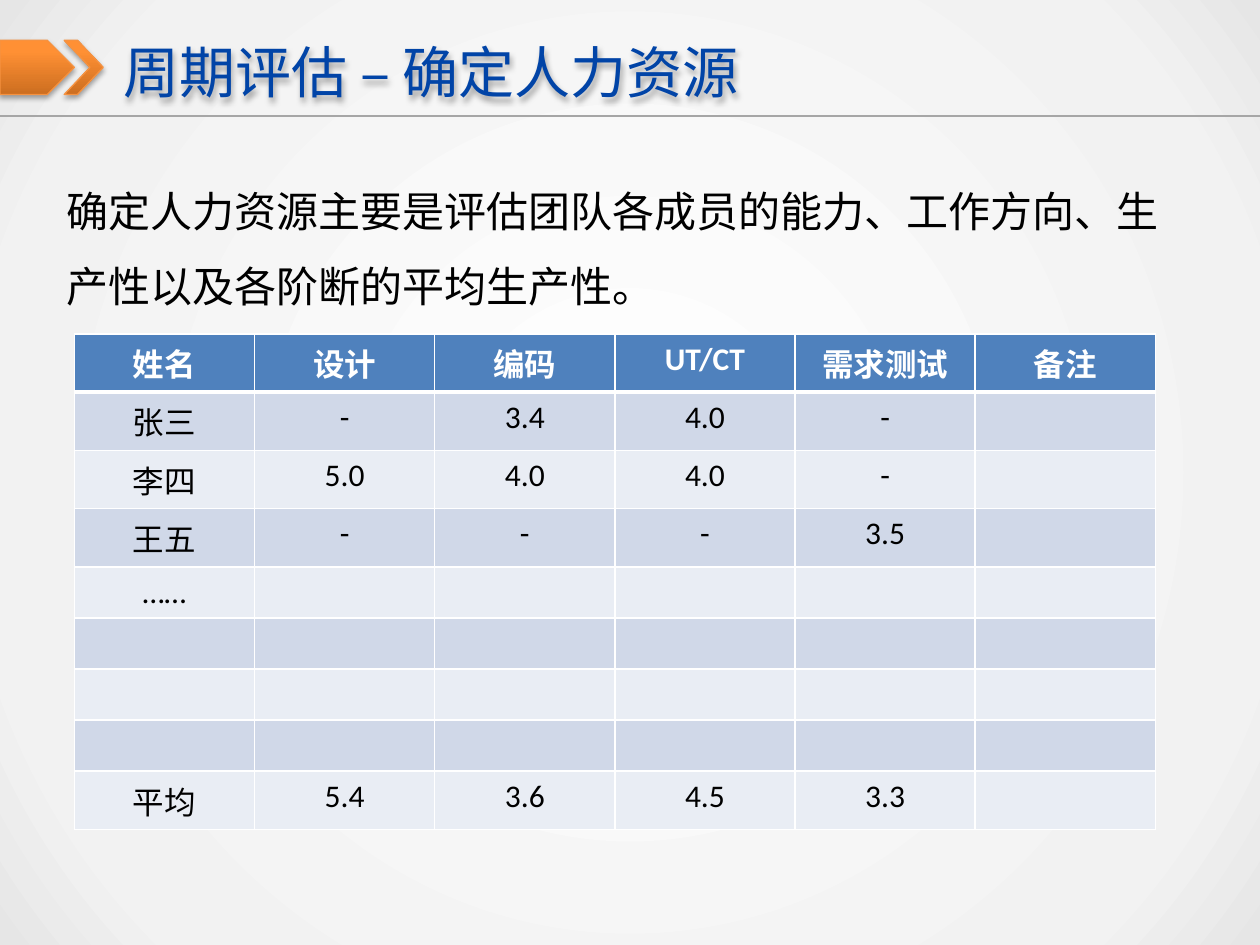
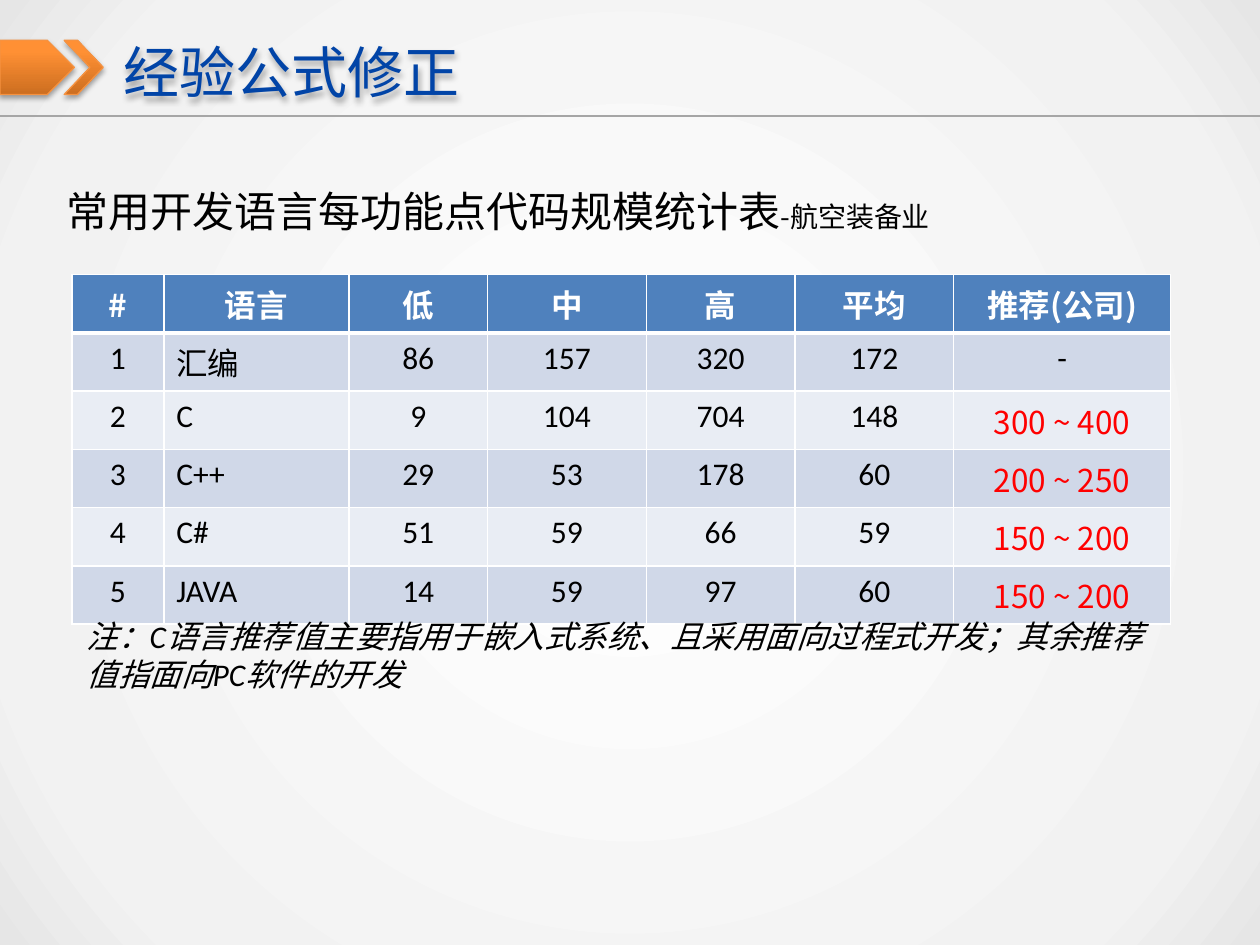
from dataclasses import dataclass

from lxml.etree import SubElement
from pptx import Presentation
from pptx.dml.color import RGBColor
from pptx.enum.shapes import MSO_CONNECTOR, MSO_SHAPE
from pptx.enum.text import MSO_ANCHOR, MSO_AUTO_SIZE, PP_ALIGN
from pptx.oxml import parse_xml
from pptx.oxml.ns import nsdecls, qn
from pptx.util import Inches, Pt

# Shared style
CJK, LATIN = "Noto Sans CJK SC", "Calibri"
BLUE, BLACK, WHITE, RED = "0144A7", "000000", "FFFFFF", "FF0000"
AMBER, GREY = "F69240", "A6A6A6"
HEAD, BANDS = "4F81BD", ("D0D8E8", "E9EDF4")
GLOW = ((0, WHITE), (82, "F2F2F2"), (100, "E6E6E6"))
FLAME = ((0, "CC6E20"), (80, "FF9034"), (100, "FF9136"))

# Grid: 100 columns by 75 rows on the slide
WIDE, HIGH = Inches(10), Inches(7.5)
COLS, ROWS = 100, 75


@dataclass(frozen=True)
class Box:
    col: float
    row: float
    cols: float
    rows: float

    def spot(self) -> tuple[int, int, int, int]:
        return across(self.col), down(self.row), across(self.cols), down(self.rows)


@dataclass(frozen=True)
class Badge:
    kind: MSO_SHAPE
    box: Box
    bend: float


@dataclass(frozen=True)
class Grid:
    box: Box
    cols: tuple[float, ...]
    rows: tuple[tuple[str, ...], ...]
    font: str  # font of the header row
    left: int = -1  # column set flush left
    hot: int = -1  # column with values in red


TITLE = Box(9.8, 2.1, 88.2, 7.1)
BADGES = (
    Badge(MSO_SHAPE.PENTAGON, Box(0, 3.2, 5.9, 4.3), 0.5),
    Badge(MSO_SHAPE.CHEVRON, Box(5.1, 3.2, 3.1, 4.3), 0.66),
)
RULE = 9.2

STAFF = Grid(
    Box(5.9, 26.5, 85.8, 36.5), (14.3,) * 6,
    (
        ("姓名", "设计", "编码", "UT/CT", "需求测试", "备注"),
        ("张三", "-", "3.4", "4.0", "-", ""),
        ("李四", "5.0", "4.0", "4.0", "-", ""),
        ("王五", "-", "-", "-", "3.5", ""),
        ("……",) + ("",) * 5,
        *(("",) * 6,) * 3,
        ("平均", "5.4", "3.6", "4.5", "3.3", ""),
    ),
    LATIN,
)
CODE = Grid(
    Box(5.7, 21.8, 87.3, 24.3), (7.3, 14.7, 11, 12.6, 11.8, 12.6, 17.2),
    (
        ("#", "语言", "低", "中", "高", "平均", "推荐(公司)"),
        ("1", "汇编", "86", "157", "320", "172", "-"),
        ("2", "C", "9", "104", "704", "148", "300 ~ 400"),
        ("3", "C++", "29", "53", "178", "60", "200 ~ 250"),
        ("4", "C#", "51", "59", "66", "59", "150 ~ 200"),
        ("5", "JAVA", "14", "59", "97", "60", "150 ~ 200"),
    ),
    CJK, left=1, hot=6,
)


# Helpers
def across(cols: float) -> int:
    return round(WIDE * cols / COLS)


def down(rows: float) -> int:
    return round(HIGH * rows / ROWS)


def tint(code: str) -> RGBColor:
    return RGBColor.from_string(code)


def fade(stops, way: str):
    marks = "".join(
        f'<a:gs pos="{pos * 1000}"><a:srgbClr val="{code}"/></a:gs>' for pos, code in stops
    )
    return parse_xml(
        f'<a:gradFill {nsdecls("a")} rotWithShape="1"><a:gsLst>{marks}</a:gsLst>{way}</a:gradFill>'
    )


def shade(shape) -> None:
    """Give a shape a soft shadow straight below it."""
    shape.shadow.inherit = False
    shape._element.spPr.find(qn("a:effectLst")).append(parse_xml(
        f'<a:outerShdw {nsdecls("a")} blurRad="{Pt(3.1)}" dist="{Pt(1.8)}" dir="5400000" '
        f'rotWithShape="0"><a:srgbClr val="{BLACK}"><a:alpha val="35000"/></a:srgbClr></a:outerShdw>'
    ))


def write(part, text: str, *, size: float = 18, font: str = LATIN, color: str = BLACK,
          bold: bool = False, slant: bool = False, align=PP_ALIGN.LEFT, lead: float = 1) -> None:
    """Add a run to the first paragraph and set its format."""
    para = part.paragraphs[0]
    para.alignment, para.line_spacing = align, lead
    para.space_before = Pt(0)
    run = para.add_run()
    run.text = text
    face = run.font
    face.size, face.name, face.bold, face.italic = Pt(size), font, bold, slant
    face.color.rgb = tint(color)
    face._element.find(qn("a:latin")).addnext(
        parse_xml(f'<a:ea {nsdecls("a")} typeface="{CJK}"/>')
    )


def place(shape, box: Box, anchor=MSO_ANCHOR.TOP):
    """Move a text shape to its box and return its text frame."""
    shape.left, shape.top, shape.width, shape.height = box.spot()
    frame = shape.text_frame
    frame.word_wrap, frame.auto_size = True, MSO_AUTO_SIZE.NONE
    frame.vertical_anchor = anchor
    return frame


# Slide frame: background, title, badges and rule
def start(deck, title: str):
    slide = deck.slides.add_slide(deck.slide_layouts[1])
    fill = slide.background.fill
    fill.gradient()
    old = slide._element.cSld.find(".//" + qn("a:gradFill"))
    old.getparent().replace(old, fade(
        GLOW, '<a:path path="circle"><a:fillToRect l="50000" t="50000" r="50000" b="50000"/></a:path>'
    ))

    head = slide.shapes.title
    frame = place(head, TITLE, MSO_ANCHOR.MIDDLE)
    frame.margin_left = frame.margin_right = 0
    write(frame, title, size=32, font=CJK, color=BLUE)
    shade(head)

    for badge in BADGES:
        shape = slide.shapes.add_shape(badge.kind, *badge.box.spot())
        shape.adjustments[0] = badge.bend
        shape.line.color.rgb, shape.line.width = tint(AMBER), Pt(0.75)
        shape._element.spPr.find(qn("a:prstGeom")).addnext(
            fade(FLAME, '<a:lin ang="16200000" scaled="0"/>')
        )
        shade(shape)

    rule = slide.shapes.add_connector(MSO_CONNECTOR.STRAIGHT, 0, down(RULE), WIDE, down(RULE))
    rule.line.color.rgb, rule.line.width = tint(GREY), Pt(0.75)
    SubElement(rule._element.spPr, qn("a:effectLst"))
    return slide


def lead_in(slide, rows: float, anchor=MSO_ANCHOR.TOP):
    """Set up the body placeholder as plain text without a bullet."""
    frame = place(slide.placeholders[1], Box(4.3, 12.2, 91.3, rows), anchor)
    props = frame.paragraphs[0]._p.get_or_add_pPr()
    props.set("marL", "0")
    props.set("indent", "0")
    SubElement(props, qn("a:buNone"))
    return frame


# Tables
def edge(cell, row: int) -> None:
    props = cell._tc.get_or_add_tcPr()
    thick = {"T": 3 if row == 1 else 1, "B": 3 if row == 0 else 1}
    for side in "LRTB":
        props.append(parse_xml(
            f'<a:ln{side} {nsdecls("a")} w="{Pt(thick.get(side, 1))}"><a:solidFill>'
            f'<a:srgbClr val="{WHITE}"/></a:solidFill></a:ln{side}>'
        ))


def draw(slide, grid: Grid) -> None:
    count = len(grid.rows)
    table = slide.shapes.add_table(count, len(grid.cols), *grid.box.spot()).table
    for col, width in zip(table.columns, grid.cols):
        col.width = across(width)
    for r, line in enumerate(grid.rows):
        table.rows[r].height = down(grid.box.rows / count)
        for c, text in enumerate(line):
            cell = table.cell(r, c)
            edge(cell, r)
            cell.fill.solid()
            cell.fill.fore_color.rgb = tint(BANDS[(r - 1) % 2] if r else HEAD)
            if not text:
                continue
            if r == 0:
                look = dict(font=grid.font, color=WHITE, bold=True)
            elif c == grid.hot and text != "-":
                look = dict(font=CJK, color=RED)
            else:
                look = {}
            flush = r > 0 and c == grid.left
            write(cell.text_frame, text, align=PP_ALIGN.LEFT if flush else PP_ALIGN.CENTER, **look)


def main() -> None:
    deck = Presentation()
    deck.slide_width, deck.slide_height = WIDE, HIGH

    # Slide 1: staff
    slide = start(deck, "周期评估 – 确定人力资源")
    write(lead_in(slide, 12.4),
          "确定人力资源主要是评估团队各成员的能力、工作方向、生产性以及各阶断的平均生产性。",
          size=24, font=CJK, lead=1.5)
    draw(slide, STAFF)

    # Slide 2: code size by language
    slide = start(deck, "经验公式修正")
    body = lead_in(slide, 7.1, MSO_ANCHOR.MIDDLE)
    for text, size in (("常用开发语言每功能点代码规模统计表", 24), ("-航空装备业", 16)):
        write(body, text, size=size, font=CJK, lead=1.5)
    draw(slide, CODE)
    box = Box(5.9, 48.5, 87.4, 7.1)
    note = place(slide.shapes.add_textbox(*box.spot()), box)
    write(note, "注：C语言推荐值主要指用于嵌入式系统、且采用面向过程式开发；其余推荐值指面向PC软件的开发",
          slant=True)

    deck.save("out.pptx")


if __name__ == "__main__":
    main()
